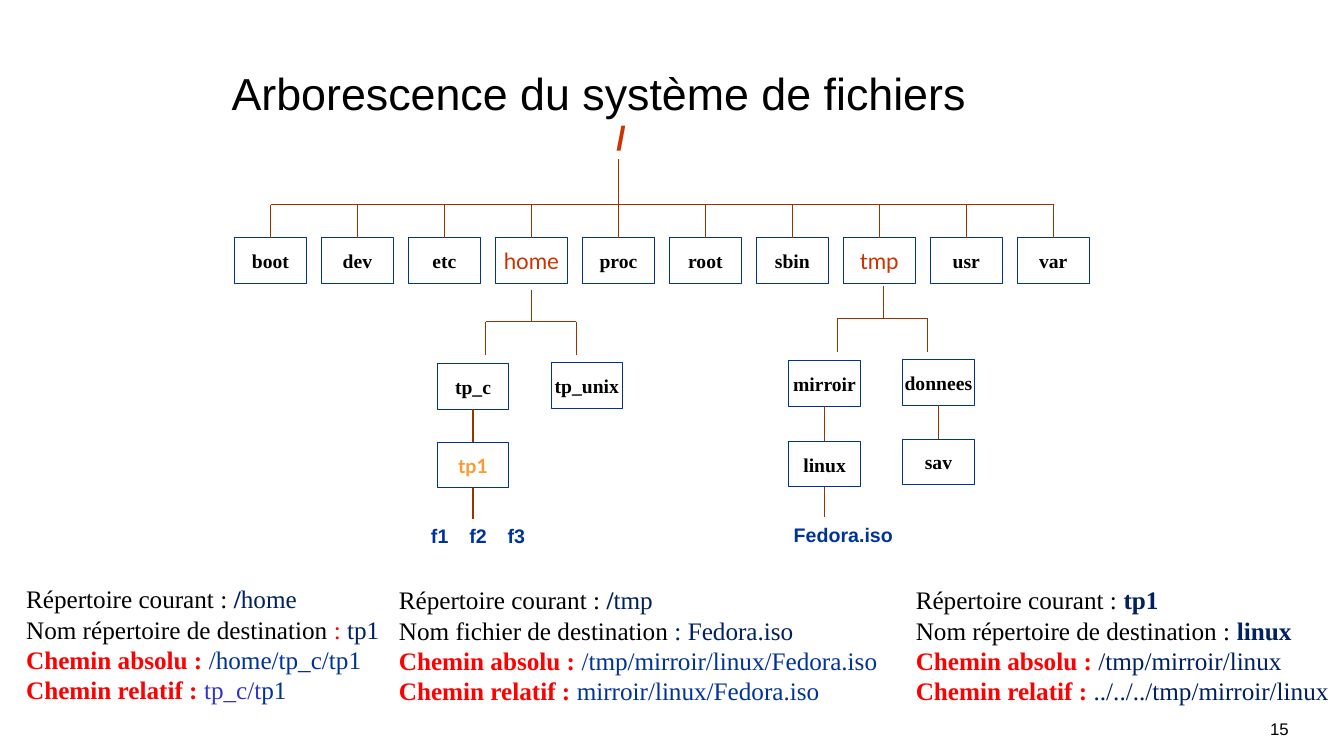
import pptx
import pptx.dml.color
import pptx.enum.shapes
import pptx.enum.text
import pptx.oxml
import pptx.util
from pptx.util import Inches

BLACK, NAVY, BLUE, RED = "000000", "002060", "003399", "FF0000"
BROWN, RUST, ORANGE, VIOLET = "993300", "CC3300", "FF9933", "3333CC"
ALIGN = pptx.enum.text.PP_ALIGN
ANCHOR = pptx.enum.text.MSO_ANCHOR


def paint(color_format, value):
    color_format.rgb = pptx.dml.color.RGBColor.from_string(value)


def write(shape, text, font="Arial", size=14, color=BLACK, bold=False, align=ALIGN.LEFT,
          anchor=ANCHOR.TOP, wrap=False, margins=(0.1, 0.05)):
    frame = shape.text_frame
    frame.word_wrap = wrap
    frame.vertical_anchor = anchor
    frame.margin_left = frame.margin_right = Inches(margins[0])
    frame.margin_top = frame.margin_bottom = Inches(margins[1])
    lines = [[(text, color, bold)]] if isinstance(text, str) else text
    for index, line in enumerate(lines):
        paragraph = frame.add_paragraph() if index else frame.paragraphs[0]
        paragraph.alignment = align
        for run_text, run_color, run_bold in line:
            run = paragraph.add_run()
            run.text = run_text
            run.font.name = font
            run.font.size = pptx.util.Pt(size)
            run.font.bold = run_bold
            paint(run.font.color, run_color)


presentation = pptx.Presentation()
presentation.slide_width = Inches(13.34)
presentation.slide_height = Inches(7.5)
slide = presentation.slides.add_slide(presentation.slide_layouts[6])

title = slide.shapes.add_textbox(Inches(2.2), Inches(0.58), Inches(8.09), Inches(0.67))
write(title, "Arborescence du système de fichiers", size=32, anchor=ANCHOR.MIDDLE, wrap=True)

root_folders = ["boot", "dev", "etc", "home", "proc", "root", "sbin", "tmp", "usr", "var"]
folders = [(name, 2.33 + 7.77 * index / 9, 2.36) for index, name in enumerate(root_folders)]
folders += [
    ("tp_c", 4.34, 3.61), ("tp_unix", 5.47, 3.6), ("tp1", 4.34, 4.39),
    ("mirroir", 7.83, 3.58), ("donnees", 8.96, 3.57), ("linux", 7.83, 4.38), ("sav", 8.96, 4.36),
]
highlights = {
    "home": {"font": "Lato", "size": 16, "color": RUST, "bold": False},
    "tmp": {"font": "Lato", "size": 16, "color": RUST, "bold": False},
    "tp1": {"font": "Lato", "color": ORANGE, "bold": True},
}
boxes = {}
for name, left, top in folders:
    box = slide.shapes.add_shape(
        pptx.enum.shapes.MSO_SHAPE.RECTANGLE, Inches(left), Inches(top), Inches(0.71), Inches(0.45))
    box.shadow.inherit = False
    box.fill.background()
    paint(box.line.color, BLUE)
    box.line.width = pptx.util.Pt(0.75)
    style = highlights.get(name, {"font": "Times New Roman", "bold": True})
    write(box, name, align=ALIGN.CENTER, anchor=ANCHOR.MIDDLE, **style)
    boxes[name] = box

links = [(2.69, 2.03, 10.46, 2.03, None, None)]
for name, left, top in folders[:len(root_folders)]:
    middle = left + 0.355
    start = 1.58 if name == "proc" else 2.03
    links.append((middle, start, middle, top, None, name))
for stem, stem_top, fork_left, fork_top in [(5.28, 2.88, 4.82, 3.19), (8.77, 2.84, 8.31, 3.16)]:
    fork_right = fork_left + 0.9
    links.append((stem, stem_top, stem, fork_top, None, None))
    links.append((fork_left, fork_top, fork_right, fork_top, None, None))
    for x in (fork_left, fork_right):
        links.append((x, fork_top, x, fork_top + 0.33, None, None))
links += [
    (4.7, 4.06, 4.7, 4.39, "tp_c", "tp1"),
    (4.7, 4.84, 4.7, 5.15, "tp1", None),
    (8.19, 4.03, 8.19, 4.38, "mirroir", "linux"),
    (8.19, 4.83, 8.19, 5.13, "linux", None),
    (9.32, 4.02, 9.32, 4.36, "donnees", "sav"),
]
for x1, y1, x2, y2, parent, child in links:
    link = slide.shapes.add_connector(
        pptx.enum.shapes.MSO_CONNECTOR.STRAIGHT, Inches(x1), Inches(y1), Inches(x2), Inches(y2))
    paint(link.line.color, BROWN)
    link.line.width = pptx.util.Pt(0.75)
    properties = link._element.spPr
    properties.append(properties.makeelement(pptx.oxml.ns.qn("a:effectLst"), {}))
    if parent:
        link.begin_connect(boxes[parent], 2)
        link.end_x = link.begin_x
    if child:
        link.end_connect(boxes[child], 0)
        link.begin_x = link.end_x

labels = [
    ("/", 6.02, 1.11, 0.29, 0.5, 24, RUST),
    ("f1", 4.18, 5.15, 0.4, 0.34, 14, BLUE),
    ("f2", 4.56, 5.15, 0.4, 0.34, 14, BLUE),
    ("f3", 4.94, 5.15, 0.4, 0.34, 14, BLUE),
    ("Fedora.iso", 7.78, 5.14, 1.4, 0.34, 14, BLUE),
]
for text, left, top, width, height, size, color in labels:
    label = slide.shapes.add_textbox(Inches(left), Inches(top), Inches(width), Inches(height))
    write(label, text, size=size, color=color, bold=True, wrap=True)

current = ("Répertoire courant : ", BLACK, False)
absolute = ("Chemin absolu : ", RED, True)
relative = ("Chemin relatif : ", RED, True)
examples = [
    (0.26, 5.79, 3.6, [
        [current, ("/", NAVY, True), ("home", NAVY, False)],
        [("Nom répertoire de destination ", BLACK, False), (": ", RED, False), ("tp1", NAVY, False)],
        [absolute, ("/home/tp_c/tp1", BLUE, False)],
        [relative, ("tp_c/t", VIOLET, False), ("p1", BLUE, False)],
    ]),
    (3.96, 5.8, 4.87, [
        [current, ("/", NAVY, True), ("tmp", NAVY, False)],
        [("Nom fichier de destination ", BLACK, False), (": Fedora.iso", NAVY, False)],
        [absolute, ("/tmp/mirroir/linux/Fedora.iso", BLUE, False)],
        [relative, ("mirroir/linux/Fedora.iso", BLUE, False)],
    ]),
    (9.09, 5.8, 4.2, [
        [current, ("tp1", NAVY, True)],
        [("Nom répertoire de destination : ", BLACK, False), ("linux", NAVY, True)],
        [absolute, ("/tmp/mirroir/linux", NAVY, False)],
        [relative, ("../../../tmp/mirroir/linux", NAVY, False)],
    ]),
]
for left, top, width, lines in examples:
    example = slide.shapes.add_textbox(Inches(left), Inches(top), Inches(width), Inches(1.25))
    write(example, lines, font="Times New Roman", size=18, margins=(0, 0))

page_number = slide.shapes.add_textbox(Inches(10.11), Inches(7.08), Inches(2.78), Inches(0.4))
write(page_number, "15", size=12, align=ALIGN.RIGHT, wrap=True)

presentation.save("out.pptx")
